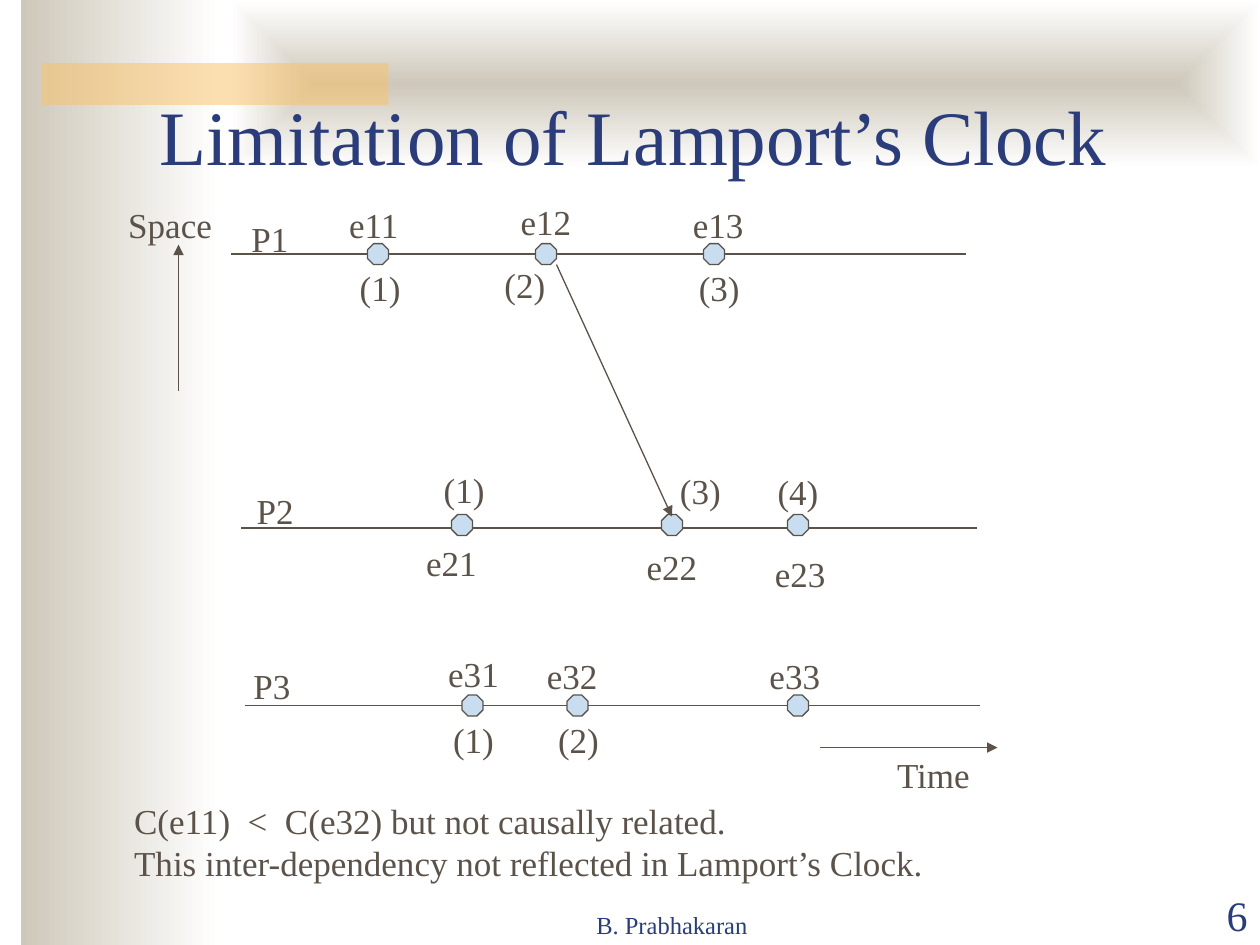
from pptx import Presentation
from pptx import util as u
from pptx.dml.color import RGBColor
from pptx.enum import shapes, text
from pptx.oxml import parse_xml
from pptx.oxml.ns import nsdecls

HUES = {"ink": "5B5249", "navy": "2A3D7A", "node": "C9DDF1",
        "sand": "CEC8BA", "white": "FFFFFF", "gold": "FAC164"}
FONT = "Times New Roman"
CELL = u.Inches(1) // 12  # the slide is a grid of 120 columns by 90 rows

# Each event: column on its lane, name, name offset, clock, clock offset
LANES = [
    ("P1", (22, 24.2, 70), (3.7, -1.5), 0, [
        (14, "e11", (-0.4, -2.8), "(1)", (0.2, 3.2)),
        (30, "e12", (0, -3.1), "(2)", (-2, 2.9)),
        (46, "e13", (0.4, -2.8), "(3)", (0.5, 3.2))]),
    ("P2", (23, 50.3, 70), (3.2, -1.7), -0.3, [
        (21, "e21", (-1, 3.3), "(1)", (0.2, -3.7)),
        (41, "e22", (0, 3.7), "(3)", (2.7, -3.6)),
        (53, "e23", (0.2, 4.3), "(4)", (0, -3.5))]),
    ("P3", (23.3, 67.2, 70), (2.6, -1.9), 0, [
        (21.7, "e31", (0.1, -3.1), "(1)", (0.1, 3.2)),
        (31.7, "e32", (-0.5, -2.9), "(2)", (0.1, 3.2)),
        (52.7, "e33", (-0.3, -2.9), None, None)]),
]


def grid(*cells):
    return [round(c * CELL) for c in cells]


def hue(name):
    return RGBColor.from_string(HUES[name])


def write(frame, words, size=20, color="ink", align="CENTER", anchor="MIDDLE", wrap=False):
    frame.word_wrap = wrap
    frame.auto_size = text.MSO_AUTO_SIZE.NONE
    frame.vertical_anchor = getattr(text.MSO_ANCHOR, anchor)
    frame.text = words
    for par in frame.paragraphs:
        par.alignment = getattr(text.PP_ALIGN, align)
        font = par.font
        font.name, font.size = FONT, u.Pt(size)
        font.color.rgb = hue(color)


def note(slide, box, words, **style):
    write(slide.shapes.add_textbox(*grid(*box)).text_frame, words, **style)


def label(slide, x, y, words):
    """Text centred on a grid point."""
    wide, high = 2.4 + 1.6 * len(words), 5.3
    note(slide, (x - wide / 2, y - high / 2, wide, high), words)


def line(slide, start, end, arrow=False):
    link = slide.shapes.add_connector(shapes.MSO_CONNECTOR.STRAIGHT, *grid(*start, *end))
    link.line.color.rgb = hue("ink")
    link.line.width = u.Pt(0.75)
    if arrow:
        link.line._get_or_add_ln().append(
            parse_xml(f'<a:tailEnd {nsdecls("a")} type="triangle"/>'))
    link._element.spPr.append(parse_xml(f'<a:effectLst {nsdecls("a")}/>'))


def block(slide, box, kind="RECTANGLE"):
    shape = slide.shapes.add_shape(getattr(shapes.MSO_SHAPE, kind), *grid(*box))
    shape.shadow.inherit = False
    shape.line.fill.background()
    return shape


def fade(slide, box, center=False):
    """Sand to white, from the left edge or outward from the centre."""
    shape = block(slide, box)
    fill = shape.fill
    fill.gradient()
    fill.gradient_angle = 0
    for stop, name in zip(fill.gradient_stops, ("sand", "white")):
        stop.color.rgb = hue(name)
    if center:
        lin = shape._element.spPr.find(".//{*}lin")
        lin.getparent().replace(lin, parse_xml(
            f'<a:path {nsdecls("a")} path="rect"><a:fillToRect '
            'l="50000" t="50000" r="50000" b="50000"/></a:path>'))


def backdrop(slide):
    fade(slide, (2, 0, 19, 90))
    fade(slide, (22, 0, 98, 16), center=True)
    bar = block(slide, (4, 6, 33, 4))
    bar.fill.solid()
    bar.fill.fore_color.rgb = hue("gold")
    bar._element.spPr.find(".//{*}srgbClr").append(
        parse_xml(f'<a:alpha {nsdecls("a")} val="50000"/>'))


def heading(slide, box, words):
    title = slide.shapes.title
    title.left, title.top, title.width, title.height = grid(*box)
    write(title.text_frame, words, size=44, color="navy", align="LEFT",
          anchor="BOTTOM", wrap=True)
    slide.shapes._spTree.append(title._element)  # in front of the backdrop


def node(slide, x, y):
    dot = block(slide, (x - 1, y - 1, 2, 2), "OCTAGON")
    dot.fill.solid()
    dot.fill.fore_color.rgb = hue("node")
    dot.line.color.rgb = hue("ink")
    dot.line.width = u.Pt(0.75)


def lane(slide, box, name, shift, rise, events):
    """A process line with its events; rise moves the nodes off the line."""
    left, top, wide = box
    line(slide, (left, top), (left + wide, top))
    label(slide, left + shift[0], top + shift[1], name)
    for col, *tags in events:
        x = left + col
        node(slide, x, top + rise)
        for words, move in zip(tags[::2], tags[1::2]):
            if words:
                label(slide, x + move[0], top + move[1], words)


def axes(slide):
    line(slide, (17, 37.2), (17, 23.3), arrow=True)
    label(slide, 16.2, 21.4, "Space")
    line(slide, (78.1, 71.2), (95, 71.2), arrow=True)
    label(slide, 88.9, 73.8, "Time")


def footer(slide, top, high):
    style = dict(color="navy", anchor="BOTTOM", wrap=True)
    note(slide, (45, top, 38, high), "B. Prabhakaran", size=14, **style)
    note(slide, (108, top, 12, high), "6", size=24, align="RIGHT", **style)


def main():
    deck = Presentation()
    deck.slide_width, deck.slide_height = grid(120, 90)
    slide = deck.slides.add_slide(deck.slide_layouts[5])
    backdrop(slide)
    heading(slide, (14, 2.8, 102, 15), "Limitation of Lamport’s Clock")
    for name, box, shift, rise, events in LANES:
        lane(slide, box, name, shift, rise, events)
    line(slide, (53, 25.2), (64, 49.2), arrow=True)
    axes(slide)
    note(slide, (11.6, 75.5, 77.8, 9.2),
         "C(e11)  <  C(e32) but not causally related.\n"
         "This inter-dependency not reflected in Lamport’s Clock.", align="LEFT")
    footer(slide, 84.1, 6)
    deck.save("out.pptx")


if __name__ == "__main__":
    main()
